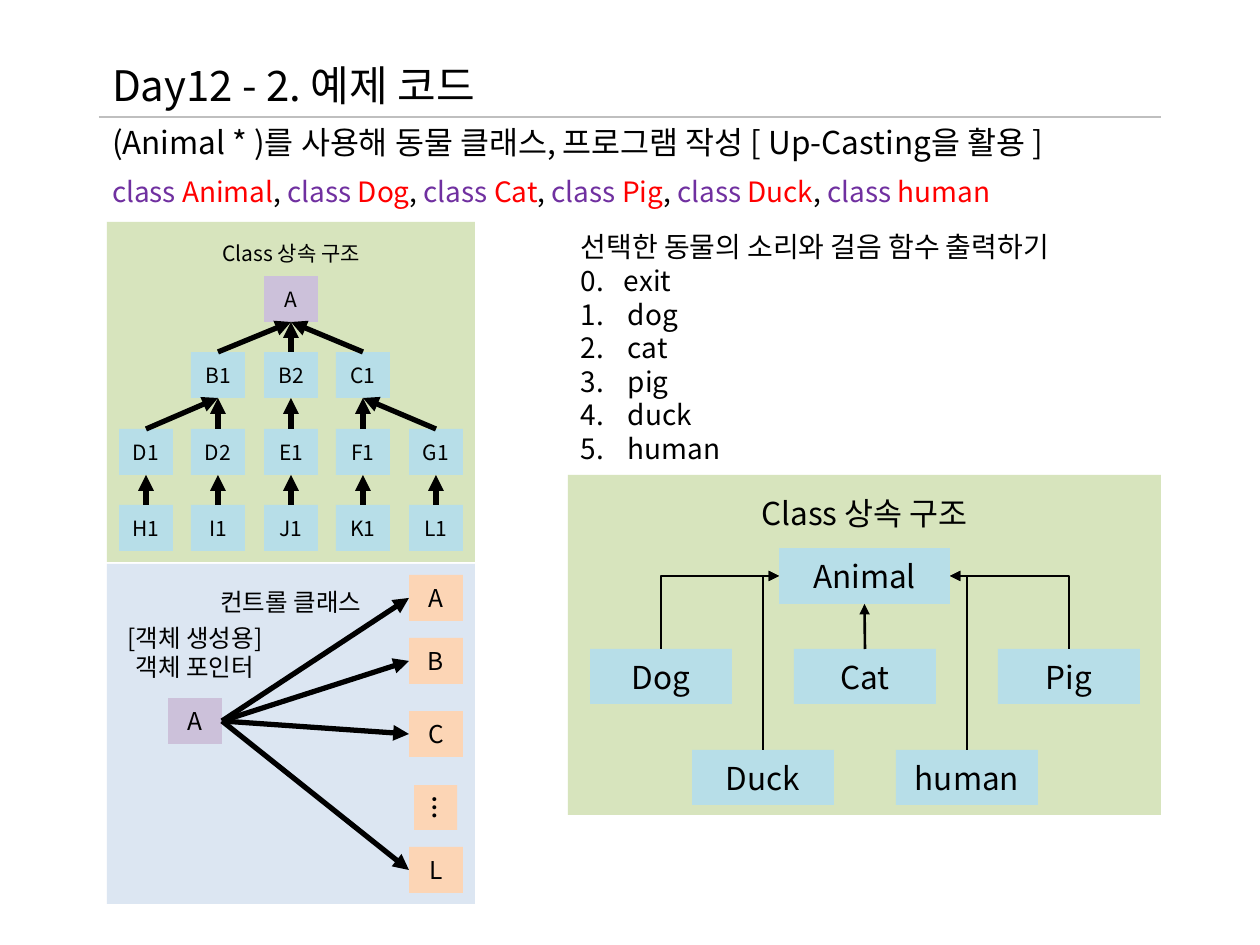
from lxml import etree
from pptx import Presentation
from pptx import util as u
from pptx.dml.color import RGBColor
from pptx.enum import shapes, text
from pptx.oxml.ns import qn

FONT = "Noto Sans CJK KR"
BLACK = RGBColor(0, 0, 0)
GREY = RGBColor(0xBF, 0xBF, 0xBF)
VIOLET = RGBColor(0x70, 0x30, 0xA0)
RED = RGBColor(0xFF, 0, 0)
GREEN = RGBColor(0xD7, 0xE4, 0xBD)
PALE = RGBColor(0xDC, 0xE6, 0xF2)
BLUE = RGBColor(0xB7, 0xDE, 0xE8)
LILAC = RGBColor(0xCC, 0xC1, 0xDA)
PEACH = RGBColor(0xFC, 0xD5, 0xB5)
LEFT, MID = text.PP_ALIGN.LEFT, text.PP_ALIGN.CENTER
TOP, CENTER = text.MSO_ANCHOR.TOP, text.MSO_ANCHOR.MIDDLE

# Content
TITLE = "Day12 - 2. 예제 코드"
TASK = "(Animal * )를 사용해 동물 클래스, 프로그램 작성 [ Up-Casting을 활용 ]"
NAMES = ["Animal", "Dog", "Cat", "Pig", "Duck", "human"]
MENU = "선택한 동물의 소리와 걸음 함수 출력하기"
PICKS = ["dog", "cat", "pig", "duck", "human"]
HEAD = "Class 상속 구조"
KIDS = ["Dog", "Duck", "Cat", "human", "Pig"]
# Class tree: rows of (name, column, parent)
TREE = [
    [("A", 2, None)],
    [("B1", 1, "A"), ("B2", 2, "A"), ("C1", 3, "A")],
    [("D1", 0, "B1"), ("D2", 1, "B1"), ("E1", 2, "B2"), ("F1", 3, "C1"), ("G1", 4, "C1")],
    [("H1", 0, "D1"), ("I1", 1, "D2"), ("J1", 2, "E1"), ("K1", 3, "F1"), ("L1", 4, "G1")],
]
CONTROL = "컨트롤 클래스"
POINTER = "[객체 생성용] 객체 포인터"
OBJECTS = [("A", 575), ("B", 638), ("C", 711), ("L", 847)]


def px(n):
    return u.Emu(round(n * 914400 / 126))


prs = Presentation()
prs.slide_width, prs.slide_height = px(1260), px(945)
slide = prs.slides.add_slide(prs.slide_layouts[6])
parts = slide.shapes


def write(shape, paras, size=18, align=LEFT, anchor=TOP, bold=None, pad=(13, 6)):
    """Fill a shape with paragraphs; each is a string or a list of (text, colour)."""
    frame = shape.text_frame
    frame.word_wrap = True
    frame.vertical_anchor = anchor
    frame.margin_left = frame.margin_right = px(pad[0])
    frame.margin_top = frame.margin_bottom = px(pad[1])
    for i, runs in enumerate(paras):
        para = frame.paragraphs[0] if i == 0 else frame.add_paragraph()
        para.alignment = align
        for words, tint in [(runs, BLACK)] if isinstance(runs, str) else runs:
            run = para.add_run()
            run.text = words
            font = run.font
            font.name, font.size, font.bold = FONT, u.Pt(size), bold
            font.color.rgb = tint
            etree.SubElement(run._r.get_or_add_rPr(), qn("a:ea"), typeface=FONT)
    return frame


def label(x, y, w, h, paras, **form):
    return write(parts.add_textbox(px(x), px(y), px(w), px(h)), paras, **form)


def box(x, y, w, h, fill, words, **form):
    shape = parts.add_shape(shapes.MSO_SHAPE.RECTANGLE, px(x), px(y), px(w), px(h))
    shape.shadow.inherit = False
    shape.fill.solid()
    shape.fill.fore_color.rgb = fill
    shape.line.fill.background()
    write(shape, [words], **{"align": MID, "anchor": CENTER, "pad": (0, 0), **form})
    return shape


def style(line, width, tint=BLACK, end=None):
    line.line.width = u.Pt(width)
    line.line.color.rgb = tint
    if end:
        etree.SubElement(line.line._get_or_add_ln(), qn("a:" + end), type="triangle")
    etree.SubElement(line._element.spPr, qn("a:effectLst"))


def arrow(start, side, goal, port, width):
    line = parts.add_connector(shapes.MSO_CONNECTOR.STRAIGHT, 0, 0, 0, 0)
    line.begin_connect(start, side)
    line.end_connect(goal, port)
    style(line, width, end="tailEnd")


def elbow(kid, base):
    """Run from the side of base across, then down to the top of kid."""
    x = kid.left + kid.width // 2
    edge = base.left if x < base.left else base.left + base.width
    line = parts.add_connector(shapes.MSO_CONNECTOR.ELBOW, edge,
                               base.top + base.height // 2, x, kid.top)
    line._element.spPr.find(qn("a:prstGeom")).set("prst", "bentConnector2")
    style(line, 1.5, end="headEnd")


# Heading
label(99, 54, 1062, 63, [TITLE], size=24)
rule = parts.add_connector(shapes.MSO_CONNECTOR.STRAIGHT, px(99), px(117), px(1161), px(117))
style(rule, 0.75, GREY)
label(99, 117, 1062, 51, [TASK])
runs = []
for name in NAMES:
    runs += [("class ", VIOLET), (name, RED), (", ", BLACK)]
label(99, 169, 1062, 46, [runs[:-1]], size=16)

# Menu
menu = label(568, 224, 592, 251, [MENU, "0.\texit"] + PICKS, size=16)
zero = menu.paragraphs[1]._p.get_or_add_pPr()
tabs = etree.SubElement(zero, qn("a:tabLst"))
etree.SubElement(tabs, qn("a:tab"), pos=str(px(43)), algn="l")
for para in menu.paragraphs[2:]:
    props = para._p.get_or_add_pPr()
    props.set("marL", str(px(47)))
    props.set("indent", str(-px(47)))
    etree.SubElement(props, qn("a:buFont"), typeface="+mj-lt")
    etree.SubElement(props, qn("a:buAutoNum"), type="arabicPeriod")

# Animal classes
box(568, 475, 593, 340, GREEN, HEAD, anchor=TOP, pad=(13, 19))
base = box(779, 548, 171, 56, BLUE, NAMES[0])
for i, name in enumerate(KIDS):
    kid = box(590 + 102 * i, 649 + 101 * (i % 2), 142, 55, BLUE, name)
    if i == 2:
        arrow(kid, 0, base, 2, 1.5)
    else:
        elbow(kid, base)

# Class tree
box(107, 222, 368, 340, GREEN, HEAD, size=12, anchor=TOP, pad=(13, 19))
nodes = {}
for r, row in enumerate(TREE):
    for name, col, top in row:
        nodes[name] = box(119 + 145 * col // 2, 276 + 153 * r // 2, 54, 46,
                          BLUE if top else LILAC, name, size=12)
        if top:
            arrow(nodes[name], 0, nodes[top], 2, 3)

# Control class
box(107, 564, 368, 340, PALE, CONTROL, size=14, anchor=TOP, pad=(13, 23))
label(99, 617, 192, 72, [POINTER], size=14, align=MID)
root = box(168, 698, 54, 46, LILAC, "A", size=14)
for name, y in OBJECTS:
    arrow(root, 3, box(409, y, 54, 46, PEACH, name, size=14), 1, 3)
dots = box(413, 786, 45, 43, PEACH, "…", size=14, bold=True)
dots.rotation = 90

prs.save("out.pptx")
